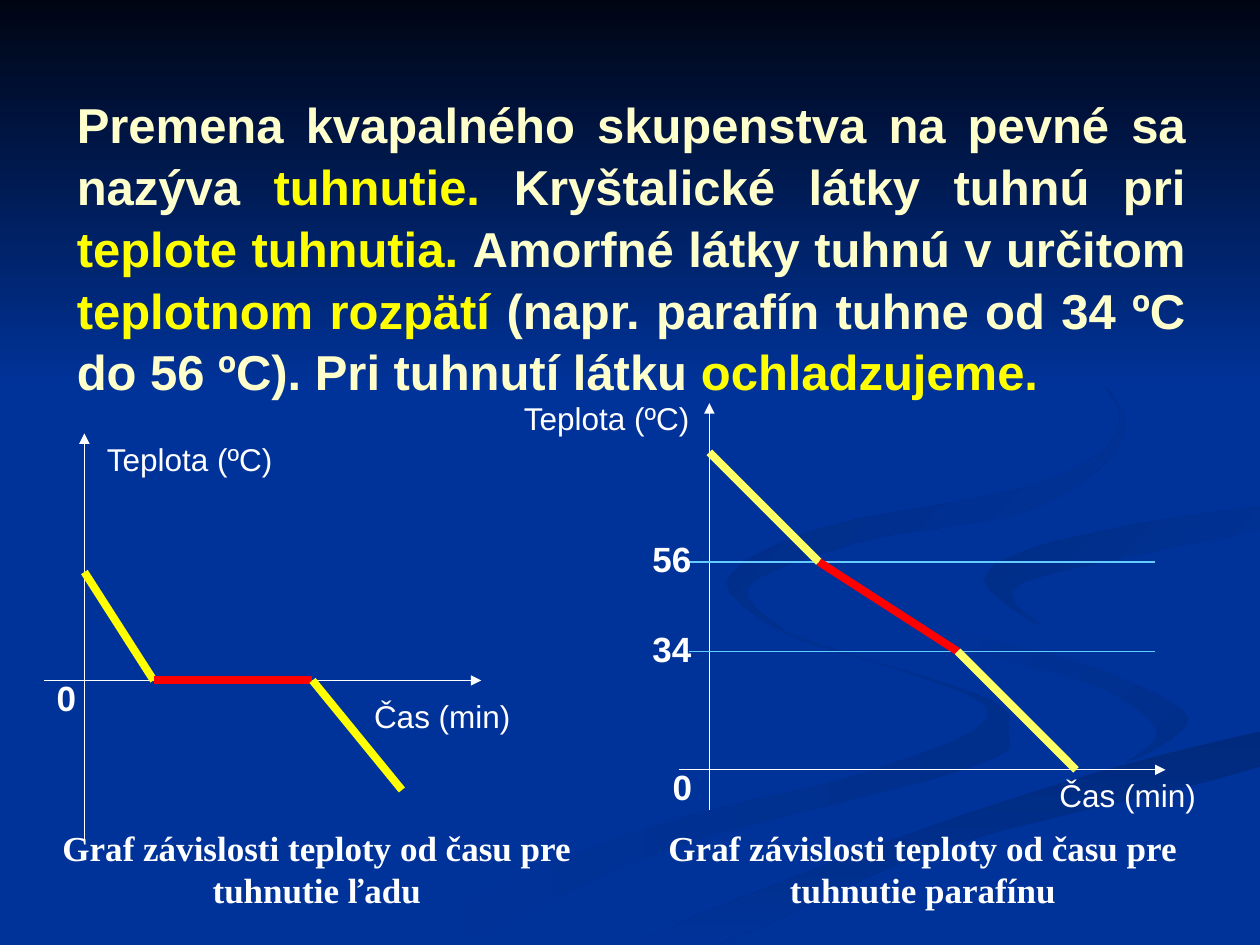
"""Build the slide on freezing, with cooling graphs for ice and paraffin."""
from lxml.etree import SubElement
from pptx import Presentation
from pptx.dml.color import RGBColor
from pptx.enum.shapes import MSO_CONNECTOR, MSO_SHAPE
from pptx.enum.text import MSO_ANCHOR, MSO_AUTO_SIZE, PP_ALIGN
from pptx.oxml.ns import qn
from pptx.util import Inches, Pt

HUES = {
    "blue": "003399", "night": "000514", "deep": "002E8B", "dark": "002A7D",
    "shade": "002D86", "dusk": "002B82", "white": "FFFFFF", "cream": "FFFFCC",
    "yellow": "FFFF00", "lemon": "FFFF66", "red": "FF0000", "sky": "66CCFF",
}
RGB = {name: RGBColor.from_string(code) for name, code in HUES.items()}


def smooth(dots, steps=5):
    curve = []
    for i, b in enumerate(dots):
        a, c, d = dots[i - 1], dots[(i + 1) % len(dots)], dots[(i + 2) % len(dots)]
        for t in [n / steps for n in range(steps)]:
            curve.append([
                q + t / 2 * (r - p + t * (2 * p - 5 * q + 4 * r - s
                                          + t * (3 * (q - r) + s - p)))
                for p, q, r, s in zip(a, b, c, d)])
    return curve


def shade(shape, start, end, angle):
    shape.shadow.inherit = False
    shape.line.fill.background()
    shape.fill.gradient()
    shape.fill.gradient_angle = -angle % 360
    for stop, hue in zip(shape.fill.gradient_stops, (start, end)):
        stop.color.rgb = RGB[hue]


deck = Presentation()
deck.slide_width, deck.slide_height = Inches(10), Inches(7.5)
slide = deck.slides.add_slide(deck.slide_layouts[1])
title, body = slide.placeholders
title.element.getparent().remove(title.element)
slide.background.fill.solid()
slide.background.fill.fore_color.rgb = RGB["blue"]

RIBBONS = [
    ("blue", "deep", 0, [
        (7.8, 5.53), (6.2, 5), (5.75, 4.6), (6.2, 5.02), (7.83, 5.6), (7, 6.09),
        (5, 6.61), (3, 7.49), (3.61, 7.49), (5.3, 6.74), (7.7, 6.09), (8, 5.8)]),
    ("blue", "deep", 45, [
        (9.43, 5.7), (8.7, 5.3), (7.58, 4.98), (7.24, 4.64), (7.66, 5.12),
        (8.7, 5.44), (9.18, 5.8), (8.94, 6.05)]),
    ("dark", "blue", 90, [
        (5.03, 7.49), (5.71, 7.49), (7.5, 6.72), (9.98, 6.09), (9.98, 5.81),
        (7.64, 6.47)]),
    ("shade", "blue", 45, [
        (7.81, 4.6), (8.26, 4.96), (8.12, 4.62), (9.98, 4.2), (9.98, 4.02),
        (8.35, 4.3)]),
    ("dusk", "blue", 45, [
        (6.83, 4.3), (8.25, 4.02), (8.93, 3.4), (8.43, 2.75), (7.62, 2.33),
        (8.46, 2.79), (8.89, 3.35), (8.3, 3.82), (6.49, 4.2), (5.77, 4.62),
        (6.22, 5), (5.94, 4.65)]),
]
for start, end, angle, dots in RIBBONS:
    points = [(round(x * 100), round(y * 100)) for x, y in smooth(dots)]
    path = slide.shapes.build_freeform(*points[0], scale=Inches(0.01))
    path.add_line_segments(points[1:], close=True)
    shade(path.convert_to_shape(), start, end, angle)
night = slide.shapes.add_shape(MSO_SHAPE.RECTANGLE, 0, 0, Inches(10), Inches(3.08))
shade(night, "night", "blue", 90)

body.element.getparent().append(body.element)
body.left, body.top = Inches(0.51), Inches(0.68)
body.width, body.height = Inches(9), Inches(5.63)
frame = body.text_frame
frame.auto_size = MSO_AUTO_SIZE.NONE
frame.vertical_anchor = MSO_ANCHOR.TOP
para = frame.paragraphs[0]
props = para._p.get_or_add_pPr()
props.set("marL", "0")
props.set("indent", "0")
SubElement(props, qn("a:buNone"))
para.alignment = PP_ALIGN.JUSTIFY
para.space_before = Pt(0)
para.line_spacing = 1.05
para.font.name, para.font.size, para.font.bold = "Arial", Pt(28), True
for text, hue in [
    ("Premena kvapalného skupenstva na pevné sa nazýva ", "cream"),
    ("tuhnutie.", "yellow"),
    (" Kryštalické látky tuhnú pri ", "cream"),
    ("teplote tuhnutia. ", "yellow"),
    ("Amorfné látky tuhnú v určitom", "cream"),
    (" teplotnom rozpätí ", "yellow"),
    ("(napr. parafín tuhne od 34 ºC do 56 ºC). Pri tuhnutí látku ", "cream"),
    ("ochladzujeme.", "yellow"),
]:
    run = para.add_run()
    run.text = text
    run.font.color.rgb = RGB[hue]

AXES = [
    (0.67, 6.66, 0.67, 3.44), (0.35, 5.4, 3.82, 5.4),
    (5.39, 6.11, 9.25, 6.11), (5.63, 6.43, 5.63, 3.2),
]
GUIDES = [(5.47, y, 9.17, y) for y in (5.17, 4.46)]
CURVES = [
    ("yellow", [(0.67, 4.54), (1.22, 5.4), (2.48, 5.4), (3.19, 6.27)]),
    ("lemon", [(5.63, 3.59), (6.5, 4.46), (7.6, 5.17), (8.54, 6.11)]),
]
lines = [(ends, "white", 0.75, True) for ends in AXES]
lines += [(ends, "sky", 0.75, False) for ends in GUIDES]
for tint, dots in CURVES:
    for a, b, hue in zip(dots, dots[1:], (tint, "red", tint)):
        lines.append((a + b, hue, 4.5, False))
for ends, hue, width, arrow in lines:
    line = slide.shapes.add_connector(
        MSO_CONNECTOR.STRAIGHT, *[Inches(n) for n in ends])
    line.line.color.rgb = RGB[hue]
    line.line.width = Pt(width)
    props = line.element.spPr
    if arrow:
        SubElement(props.find(qn("a:ln")), qn("a:tailEnd"), type="triangle")
    SubElement(props, qn("a:effectLst"))

TICK = ("Arial", 20, True, PP_ALIGN.LEFT, 0.44)
NAME = ("Arial", 18, False, PP_ALIGN.LEFT, 0.4)
NOTE = ("Times New Roman", 20, True, PP_ALIGN.CENTER, 0.77)
for text, left, top, width, style in [
    ("0", 0.35, 5.32, 0.31, TICK),
    ("Teplota (ºC)", 0.75, 3.44, 1.73, NAME),
    ("Čas (min)", 2.87, 5.48, 1.42, NAME),
    ("Graf závislosti teploty od času pre tuhnutie ľadu", 0.35, 6.51, 4.33, NOTE),
    ("Graf závislosti teploty od času pre tuhnutie parafínu", 5.16, 6.51, 4.33, NOTE),
    ("34", 5.08, 4.93, 0.55, TICK),
    ("56", 5.08, 4.22, 0.63, TICK),
    ("0", 5.24, 6.03, 0.31, TICK),
    ("Teplota (ºC)", 4.06, 3.12, 1.73, NAME),
    ("Čas (min)", 8.31, 6.11, 1.42, NAME),
]:
    face, size, bold, align, height = style
    box = slide.shapes.add_textbox(
        Inches(left), Inches(top), Inches(width), Inches(height))
    box.text_frame.word_wrap = True
    para = box.text_frame.paragraphs[0]
    para.text = text
    para.alignment = align
    para.font.name, para.font.size, para.font.bold = face, Pt(size), bold
    para.font.color.rgb = RGB["white"]

deck.save("out.pptx")
